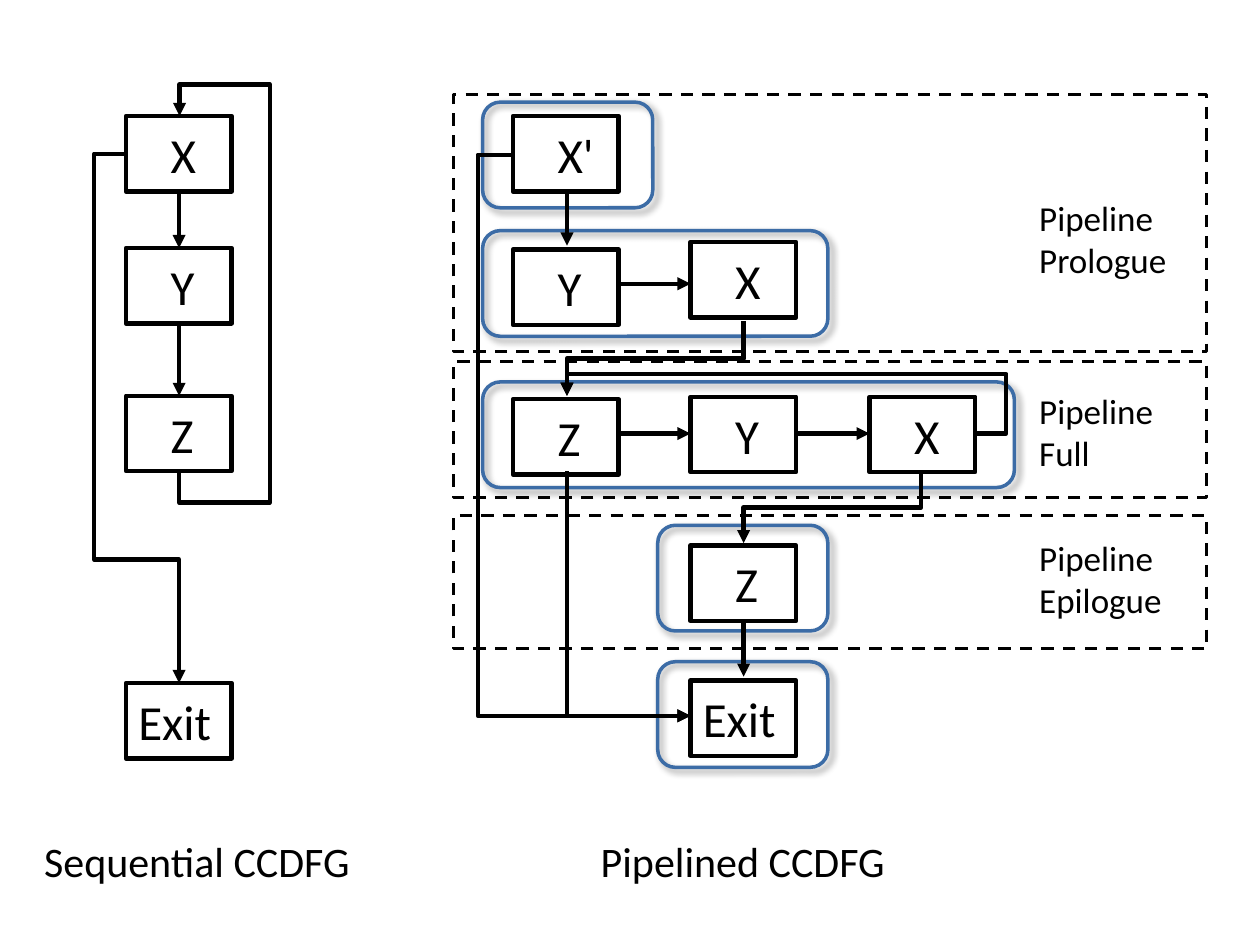
"""Build a slide comparing a sequential and a pipelined CCDFG."""
import pptx
import pptx.dml.color
import pptx.enum.dml
import pptx.enum.shapes
import pptx.enum.text
import pptx.oxml
import pptx.oxml.ns
import pptx.util

Cm = pptx.util.Cm
Pt = pptx.util.Pt
SHAPES = pptx.enum.shapes.MSO_SHAPE
CONNECTORS = pptx.enum.shapes.MSO_CONNECTOR
qn = pptx.oxml.ns.qn
NAMESPACE = pptx.oxml.ns.nsdecls("a")
BLACK = "000000"
BLUE = "3C6CA6"
NODE_WIDTH, NODE_HEIGHT = 2.13, 1.52
STAGE_HEIGHT = 2.13


def color(hex_string):
    return pptx.dml.color.RGBColor.from_string(hex_string)


def add_outline(slide, kind, left, top, width, height, line_color, line_width):
    shape = slide.shapes.add_shape(kind, Cm(left), Cm(top), Cm(width), Cm(height))
    shape.shadow.inherit = False
    shape.fill.background()
    shape.line.color.rgb = color(line_color)
    shape.line.width = Pt(line_width)
    return shape


def add_phase(slide, top, height):
    phase = add_outline(slide, SHAPES.RECTANGLE, 9.14, top, 15.19, height, BLACK, 1.75)
    phase.line.dash_style = pptx.enum.dml.MSO_LINE.DASH


def add_stage(slide, left, top, width):
    stage = add_outline(slide, SHAPES.ROUNDED_RECTANGLE, left, top, width, STAGE_HEIGHT, BLUE, 2)
    shadow = pptx.oxml.parse_xml(
        f'<a:outerShdw {NAMESPACE} blurRad="{Pt(4)}" dist="{Pt(3)}" dir="2700000" rotWithShape="0">'
        f'<a:srgbClr val="{BLACK}"><a:alpha val="40000"/></a:srgbClr></a:outerShdw>')
    stage._element.spPr.find(qn("a:effectLst")).append(shadow)


def write_text(shape, text, size):
    frame = shape.text_frame
    frame.text = text
    frame.word_wrap = True
    for paragraph in frame.paragraphs:
        paragraph.alignment = pptx.enum.text.PP_ALIGN.LEFT
        for run in paragraph.runs:
            run.font.name = "Calibri"
            run.font.size = Pt(size)
            run.font.color.rgb = color(BLACK)


def add_node(slide, text, left, top):
    node = add_outline(slide, SHAPES.RECTANGLE, left, top, NODE_WIDTH, NODE_HEIGHT, BLACK, 2.5)
    node.text_frame.vertical_anchor = pptx.enum.text.MSO_ANCHOR.MIDDLE
    node.text_frame.margin_left = Cm(0.25 if text == "Exit" else 0.9)
    write_text(node, text, 28)


def add_label(slide, text, left, top, width, height, size):
    label = slide.shapes.add_textbox(Cm(left), Cm(top), Cm(width), Cm(height))
    write_text(label, text, size)


def style_arrow(connector):
    connector.line.color.rgb = color(BLACK)
    connector.line.width = Pt(2.5)
    line = connector.line._get_or_add_ln()
    line.append(pptx.oxml.parse_xml(f'<a:tailEnd {NAMESPACE} type="triangle"/>'))
    connector._element.spPr.append(pptx.oxml.parse_xml(f"<a:effectLst {NAMESPACE}/>"))


def add_arrow(slide, start, end):
    connector = slide.shapes.add_connector(
        CONNECTORS.STRAIGHT, *(Cm(value) for value in start + end))
    style_arrow(connector)


def add_elbow(slide, *route):
    """Add a bent arrow whose frame and adjustments follow from its corner points."""
    (start_x, start_y), (end_x, end_y) = route[0], route[-1]
    vertical = route[0][0] == route[1][0]
    points = [(y, -x) for x, y in route] if vertical else list(route)
    start = points[0]
    span = [points[-1][axis] - start[axis] for axis in (0, 1)]
    width, height = abs(span[0]), abs(span[1])
    left = (start_x + end_x - width) / 2
    top = (start_y + end_y - height) / 2
    connector = slide.shapes.add_connector(
        CONNECTORS.ELBOW, Cm(left), Cm(top), Cm(left + width), Cm(top + height))
    properties = connector._element.spPr
    frame = properties.find(qn("a:xfrm"))
    if vertical:
        frame.set("rot", "5400000")
    for name, distance in zip(("flipH", "flipV"), span):
        if distance < 0:
            frame.set(name, "1")
    geometry = properties.find(qn("a:prstGeom"))
    geometry.set("prst", f"bentConnector{len(points) - 1}")
    guides = geometry.get_or_add_avLst()
    for index, point in enumerate(points[1:-2]):
        axis = index % 2
        ratio = round((point[axis] - start[axis]) / span[axis] * 100000)
        guides.append(pptx.oxml.parse_xml(
            f'<a:gd {NAMESPACE} name="adj{index + 1}" fmla="val {ratio}"/>'))
    style_arrow(connector)


def add_sequential(slide):
    left, center = 2.54, 3.61
    for text, top in (("X", 2.34), ("Y", 5), ("Z", 7.98), ("Exit", 13.77)):
        add_node(slide, text, left, top)
    for start, end in ((3.86, 5), (6.52, 7.98)):
        add_arrow(slide, (center, start), (center, end))
    add_elbow(slide, (center, 9.5), (center, 10.13), (5.44, 10.13),
              (5.44, 1.7), (center + 0.01, 1.7), (center + 0.01, 2.34))
    add_elbow(slide, (left, 3.1), (1.9, 3.1), (1.9, 11.28), (center, 11.28), (center, 13.77))
    add_label(slide, "Sequential CCDFG", 0.64, 16.71, 6.99, 1.27, 24)


def add_pipelined(slide):
    first, second, third = 10.34, 13.92, 17.53
    first_center, second_center, third_center = 11.43, 14.99, 18.57
    for top, height in ((1.91, 5.18), (7.29, 2.74), (10.39, 2.69)):
        add_phase(slide, top, height)
    for left, top, width in ((9.73, 2.06, 3.43), (9.73, 4.65, 6.96), (9.73, 7.7, 10.72),
                             (13.26, 10.59, 3.43), (13.26, 13.34, 3.43)):
        add_stage(slide, left, top, width)
    for text, left, top in (("X'", first, 2.34), ("Y", first, 5.03), ("X", second, 4.88),
                            ("Z", first, 8.05), ("Y", second, 8), ("X", third, 8),
                            ("Z", second, 11), ("Exit", second, 13.72)):
        add_node(slide, text, left, top)
    for start, end in (((first_center, 3.89), (first_center, 4.95)),
                       ((12.5, 5.72), (second, 5.72)),
                       ((12.5, 8.74), (second, 8.74)),
                       ((16.03, 8.74), (third, 8.74)),
                       ((second_center, 12.5), (second_center, 13.64))):
        add_arrow(slide, start, end)
    add_elbow(slide, (second_center, 6.48), (second_center, 7.23),
              (first_center, 7.23), (first_center, 7.98))
    add_elbow(slide, (third_center, 9.5), (third_center, 10.23),
              (second_center, 10.23), (second_center, 10.95))
    add_elbow(slide, (19.63, 8.74), (20.29, 8.74), (20.29, 7.54),
              (first_center, 7.54), (first_center, 7.98))
    add_elbow(slide, (first, 3.12), (9.63, 3.12), (9.63, 14.43), (second, 14.43))
    add_elbow(slide, (first_center, 9.5), (first_center, 14.43), (second, 14.43))
    for text, top in (("Prologue", 3.84), ("Full", 7.72), ("Epilogue", 10.69)):
        add_label(slide, f"Pipeline\n{text}", 20.7, top, 3.66, 1.96, 20)
    add_label(slide, "Pipelined CCDFG", 11.86, 16.71, 6.99, 1.27, 24)


def main():
    presentation = pptx.Presentation()
    presentation.slide_width = Cm(25.4)
    presentation.slide_height = Cm(19.05)
    slide = presentation.slides.add_slide(presentation.slide_layouts[6])
    add_sequential(slide)
    add_pipelined(slide)
    presentation.save("out.pptx")


main()
